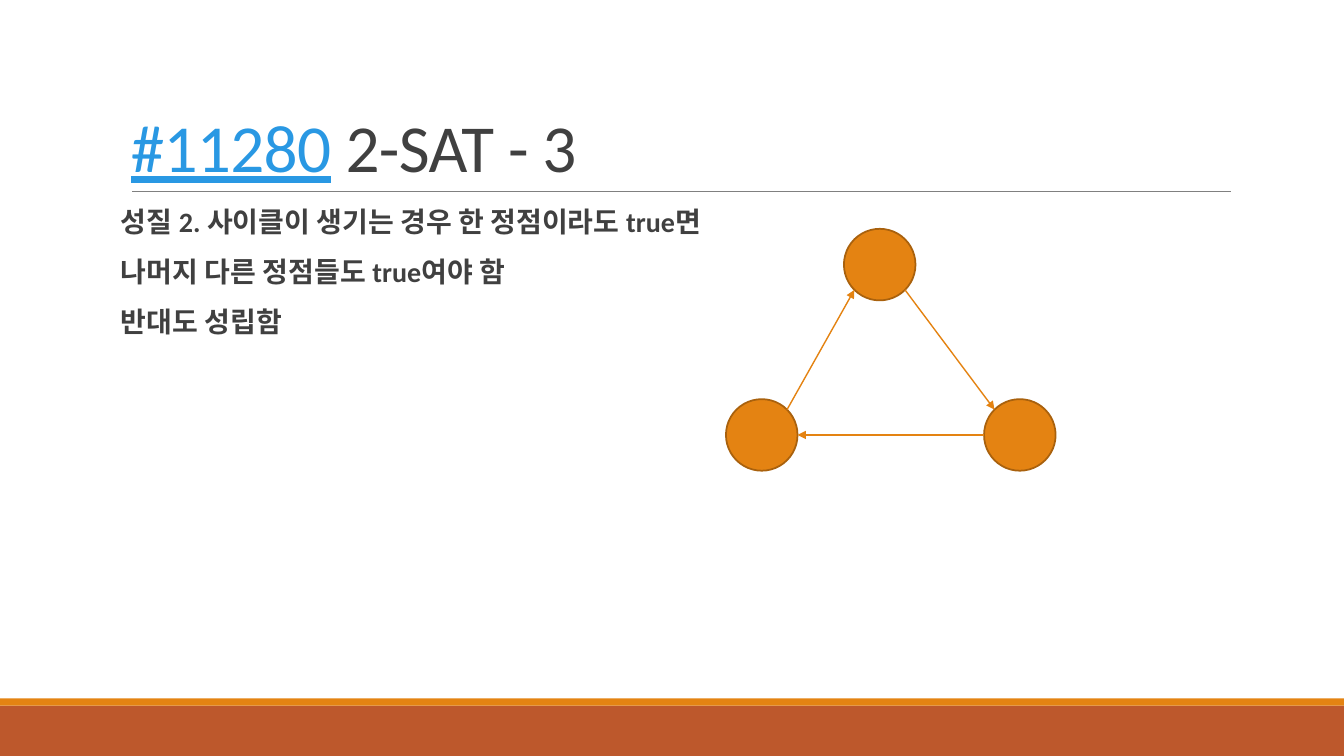
from math import cos, radians, sin

from lxml import etree
from pptx import Presentation
from pptx.dml.color import RGBColor
from pptx.enum.shapes import MSO_CONNECTOR, MSO_SHAPE
from pptx.enum.text import MSO_ANCHOR
from pptx.oxml.ns import qn
from pptx.util import Inches, Pt

STRAIGHT = MSO_CONNECTOR.STRAIGHT
RECT = MSO_SHAPE.RECTANGLE
OVAL = MSO_SHAPE.OVAL
TOP = MSO_ANCHOR.TOP
BOTTOM = MSO_ANCHOR.BOTTOM

ORANGE = RGBColor(0xE4, 0x83, 0x12)
RUST = RGBColor(0xBD, 0x58, 0x2C)
BROWN = RGBColor(0xA9, 0x61, 0x0D)
GRAY = RGBColor(0x80, 0x80, 0x80)
DARK = RGBColor(0x40, 0x40, 0x40)
BLUE = RGBColor(0x29, 0x98, 0xE3)

FONT = "Calibri"
WIDE, HIGH = 13.33, 7.5
NODE = 0.71
# Top left corner of each node
NODES = {"top": (8.37, 2.27), "right": (9.76, 3.96), "left": (7.2, 3.96)}
# Start node, angle on its rim, end node, angle on its rim
EDGES = [
    ("top", 45, "right", 225),
    ("right", 180, "left", 0),
    ("left", 315, "top", 135),
]
LINES = [
    "성질 2. 사이클이 생기는 경우 한 정점이라도 true면",
    "나머지 다른 정점들도 true여야 함",
    "반대도 성립함",
]


def add_form(slide, kind, box, fill, edge=None):
    """Add a filled shape, outlined when an edge colour is given."""
    form = slide.shapes.add_shape(kind, *map(Inches, box))
    form.shadow.inherit = False
    form.fill.solid()
    form.fill.fore_color.rgb = fill
    if edge is None:
        form.line.fill.background()
    else:
        form.line.color.rgb = edge
        form.line.width = Pt(1.25)


def add_line(slide, start, end, color, width, arrow=False):
    """Add a straight line, with an arrowhead at its end on request."""
    line = slide.shapes.add_connector(STRAIGHT, *map(Inches, (*start, *end)))
    line.line.color.rgb = color
    line.line.width = Pt(width)
    props = line._element.spPr
    if arrow:
        etree.SubElement(props.find(qn("a:ln")), qn("a:tailEnd"), type="triangle")
    etree.SubElement(props, qn("a:effectLst"))


def add_box(slide, box, anchor, side):
    """Add a wrapping text box and return its text frame."""
    frame = slide.shapes.add_textbox(*map(Inches, box)).text_frame
    frame.word_wrap = True
    frame.vertical_anchor = anchor
    frame.margin_left = frame.margin_right = Inches(side)
    return frame


def add_run(para, text, size, color, bold=False, under=False):
    """Add one run of text and return it."""
    run = para.add_run()
    run.text = text
    font = run.font
    font.name = FONT
    font.size = Pt(size)
    font.color.rgb = color
    font.bold = bold
    font.underline = under
    return run


def add_title(slide):
    """Add the problem number and name."""
    para = add_box(slide, (1.2, 0.31, 11, 1.59), BOTTOM, 0.1).paragraphs[0]
    para.line_spacing = 0.85
    for text, color, under in (("#11280", BLUE, True), (" 2-SAT - 3", DARK, False)):
        run = add_run(para, text, 48, color, under=under)
        run.font._element.set("spc", "-50")


def add_body(slide):
    """Add the lines that state the property."""
    frame = add_box(slide, (1.2, 2.02, 11, 4.4), TOP, 0)
    for i, text in enumerate(LINES):
        para = frame.add_paragraph() if i else frame.paragraphs[0]
        para.line_spacing = 0.9
        para.space_before = Pt(12)
        para.space_after = Pt(2)
        add_run(para, text, 20, DARK, bold=True)


def rim(name, angle):
    """Return the point on a node's rim, clockwise from its right side."""
    left, top = NODES[name]
    half = NODE / 2
    turn = radians(angle)
    return left + half * (1 + cos(turn)), top + half * (1 + sin(turn))


def add_graph(slide):
    """Add the cycle of three nodes."""
    for spot in NODES.values():
        add_form(slide, OVAL, (*spot, NODE, NODE), ORANGE, BROWN)
    for start, out, end, into in EDGES:
        add_line(slide, rim(start, out), rim(end, into), ORANGE, 1, arrow=True)


def main():
    """Build and save the slide."""
    deck = Presentation()
    deck.slide_width = Inches(WIDE)
    deck.slide_height = Inches(HIGH)
    slide = deck.slides.add_slide(deck.slide_layouts[6])
    add_form(slide, RECT, (0, 7, WIDE, 0.5), RUST)
    add_form(slide, RECT, (0, 6.93, WIDE, 0.07), ORANGE)
    add_line(slide, (1.31, 1.9), (12.21, 1.9), GRAY, 0.5)
    add_title(slide)
    add_body(slide)
    add_graph(slide)
    deck.save("out.pptx")


main()
